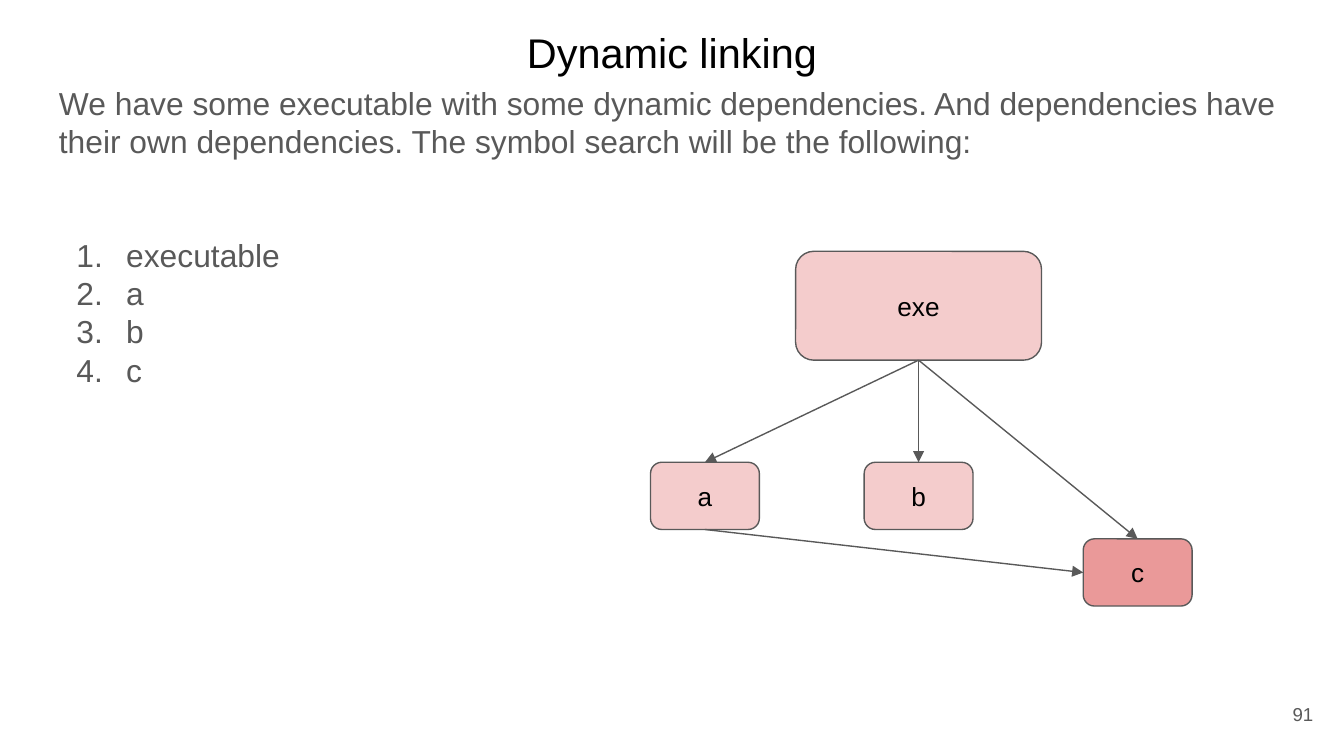
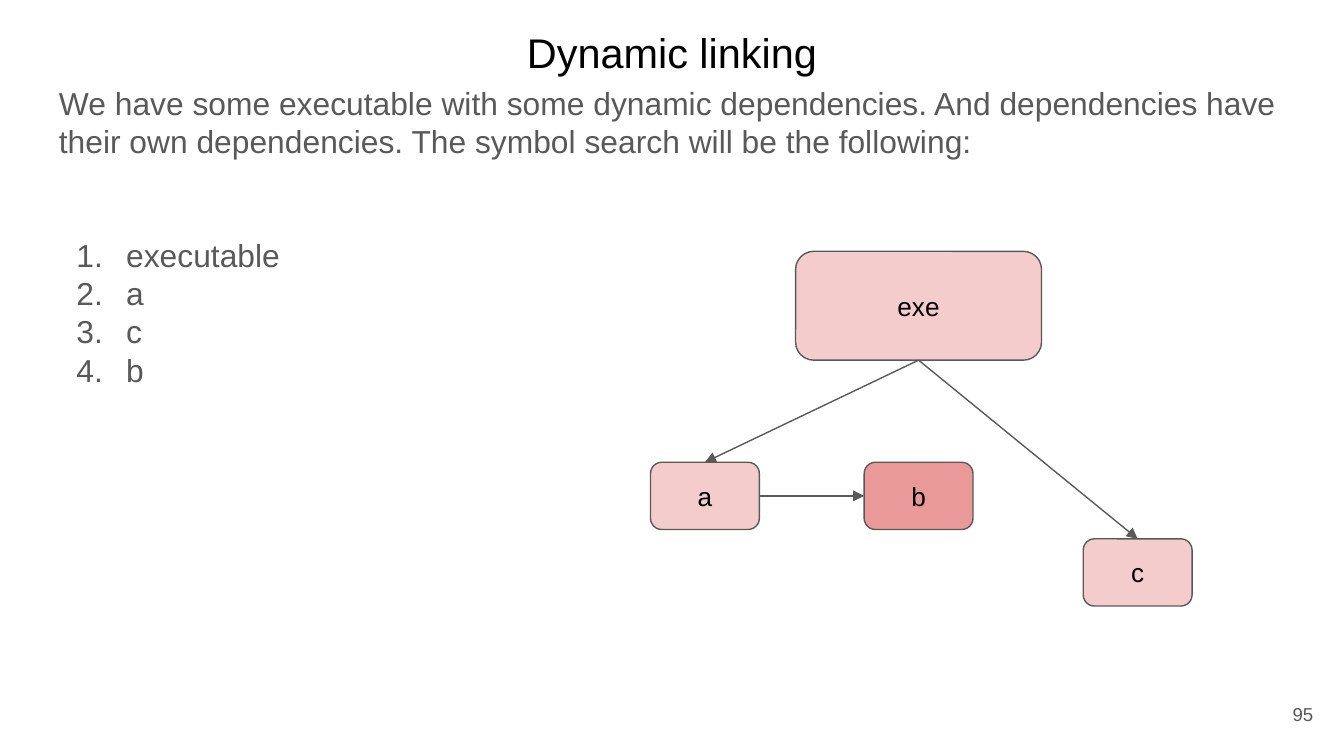
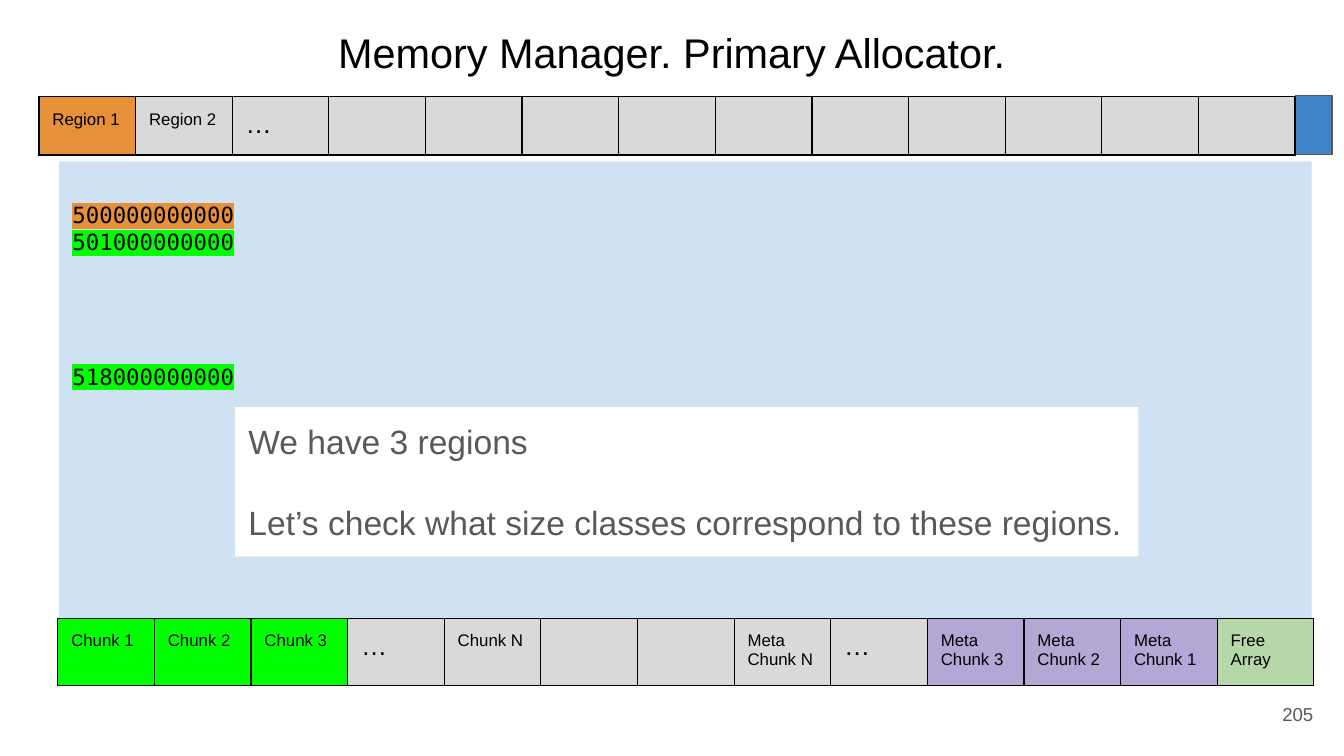
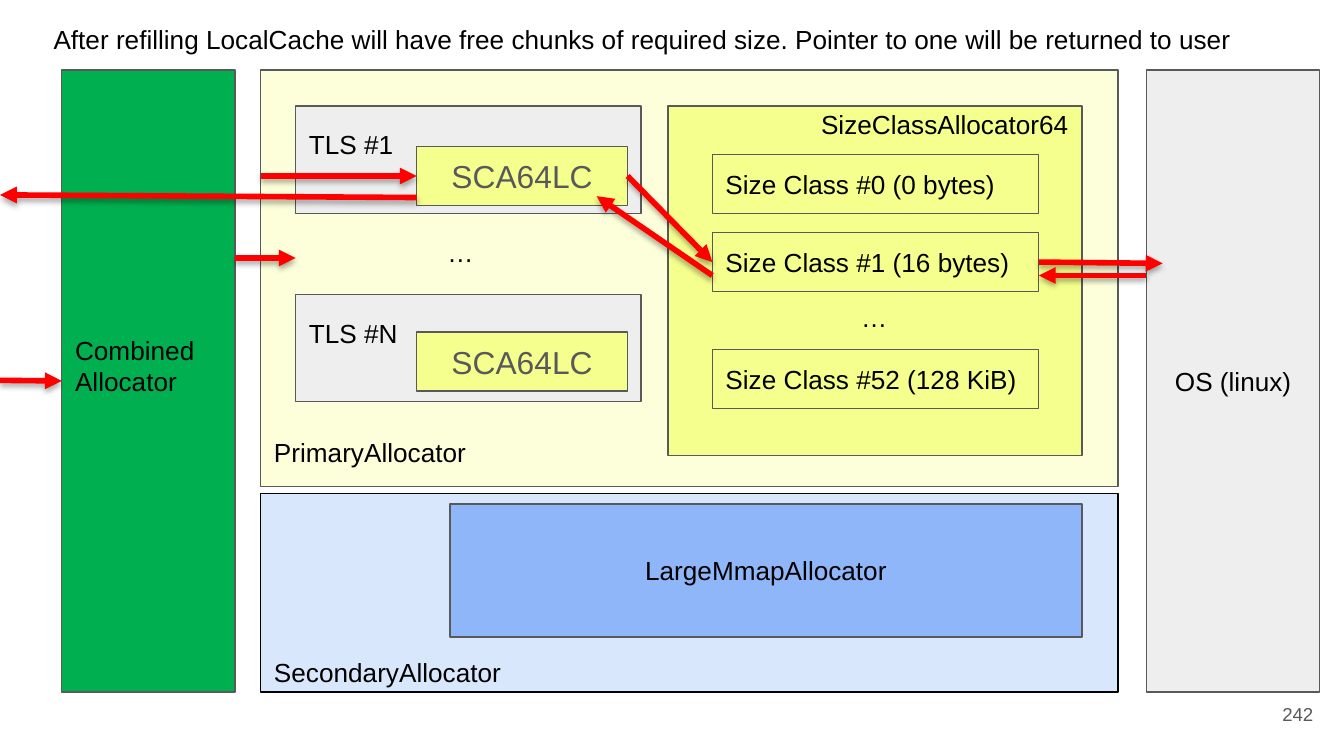
from dataclasses import dataclass

from lxml import etree
from pptx import Presentation
from pptx.dml.color import RGBColor
from pptx.enum.shapes import MSO_CONNECTOR as Connector, MSO_SHAPE as Shape
from pptx.enum.text import MSO_ANCHOR as Anchor, PP_ALIGN as Align
from pptx.oxml.ns import qn
from pptx.util import Inches, Pt

BLACK, GRAY, RED = "000000", "595959", "FF0000"
PINK, ROSE = "F4CCCC", "EA9999"
ORANGE, LIME, SILVER = "E69138", "00FF00", "D9D9D9"
LILAC, SAGE, SKY = "B4A7D6", "B6D7A8", "CFE2F3"
YELLOW, PALE = "F5FF8D", "EEEEEE"
SANS, MONO = "Arial", "DejaVu Sans Mono"
TOP, LEFT, BOTTOM, RIGHT = range(4)
COLUMNS = 13


@dataclass
class Box:
    """A rectangle in inches."""

    left: float
    top: float
    width: float
    height: float

    def inner(self, left, top, width, height):
        """Return a rectangle placed relative to this one."""
        return Box(self.left + left, self.top + top, width, height)

    def lengths(self):
        """Return the four values as lengths."""
        return [Inches(v) for v in (self.left, self.top, self.width, self.height)]


TITLE_BOX = Box(0.34, 0.15, 9.32, 0.52)
NUMBER_BOX = Box(9.27, 5.1, 0.6, 0.43)


def colour(value):
    """Turn a hex string into a colour."""
    return RGBColor.from_string(value)


def add_element(parent, tag, **attributes):
    """Append a drawing element to a parent."""
    return etree.SubElement(parent, qn(tag), attributes)


def add_run(para, text, size, ink=BLACK, font=SANS, highlight=None):
    """Add one formatted run to a paragraph."""
    span = para.add_run()
    span.text = text
    span.font.size = Pt(size)
    span.font.name = font
    span.font.color.rgb = colour(ink)
    if highlight:
        mark = etree.Element(qn("a:highlight"))
        add_element(mark, "a:srgbClr", val=highlight)
        span._r.get_or_add_rPr().find(qn("a:solidFill")).addnext(mark)


def write(frame, lines, size=14, ink=BLACK, align=Align.LEFT):
    """Write one paragraph per line and return the paragraphs."""
    paras = []
    for index, line in enumerate(lines):
        para = frame.add_paragraph() if index else frame.paragraphs[0]
        para.alignment = align
        add_run(para, line, size, ink)
        paras.append(para)
    return paras


def set_frame(shape, anchor, top=0.1, bottom=0.1):
    """Prepare the text frame of a shape."""
    frame = shape.text_frame
    frame.word_wrap = True
    frame.vertical_anchor = anchor
    frame.margin_left = frame.margin_right = Inches(0.1)
    frame.margin_top, frame.margin_bottom = Inches(top), Inches(bottom)
    return frame


def add_text(page, box, lines, size, ink=BLACK, align=Align.LEFT, anchor=Anchor.TOP):
    """Add a text box and return its paragraphs."""
    frame = set_frame(page.shapes.add_textbox(*box.lengths()), anchor)
    return write(frame, lines, size, ink, align)


def add_block(page, box, fill, lines=(), line=GRAY, kind=Shape.RECTANGLE, size=14,
              ink=BLACK, align=Align.LEFT, anchor=Anchor.MIDDLE, top=0.1, bottom=0.1):
    """Add a filled shape with its label."""
    shape = page.shapes.add_shape(kind, *box.lengths())
    shape.shadow.inherit = False
    shape.fill.solid()
    shape.fill.fore_color.rgb = colour(fill)
    if line:
        shape.line.color.rgb = colour(line)
        shape.line.width = Pt(0.75)
    else:
        shape.line.fill.background()
    write(set_frame(shape, anchor, top, bottom), lines, size, ink, align)
    return shape


def add_ellipsis(page, box):
    """Add the dots that stand for omitted items."""
    frame = page.shapes.add_textbox(*box.lengths()).text_frame
    frame.word_wrap = False
    write(frame, ["…"])


def add_arrow(page, start, end, ink=GRAY, width=0.75, shadow=False):
    """Add an arrow between points or (shape, side) pairs."""
    free = [(0, 0) if hasattr(e[0], "shape_id") else e for e in (start, end)]
    arrow = page.shapes.add_connector(
        Connector.STRAIGHT, *[Inches(value) for point in free for value in point])
    if hasattr(start[0], "shape_id"):
        arrow.begin_connect(*start)
    if hasattr(end[0], "shape_id"):
        arrow.end_connect(*end)
    arrow.line.color.rgb = colour(ink)
    arrow.line.width = Pt(width)
    add_element(arrow.line._get_or_add_ln(), "a:tailEnd", type="triangle")
    effects = add_element(arrow._element.spPr, "a:effectLst")
    if shadow:
        cast = add_element(effects, "a:outerShdw", blurRad=str(Pt(3.1)),
                           dist=str(Pt(1.8)), dir="5400000", rotWithShape="0")
        shade = add_element(cast, "a:srgbClr", val=BLACK)
        add_element(shade, "a:alpha", val="35000")


def add_title(page, text):
    """Add the centred slide title."""
    para, = add_text(page, TITLE_BOX, [text], 22.2, align=Align.CENTER, anchor=Anchor.BOTTOM)
    para.line_spacing = 0.8


def add_page(deck, number):
    """Add a blank page with its number."""
    page = deck.slides.add_slide(deck.slide_layouts[6])
    add_text(page, NUMBER_BOX, [str(number)], 10, GRAY, Align.RIGHT, Anchor.MIDDLE)
    return page


def add_search_order(page, box, names):
    """Add the introduction and the numbered search order."""
    intro = ("We have some executable with some dynamic dependencies. And dependencies "
             "have their own dependencies. The symbol search will be the following:")
    items = add_text(page, box, [intro, *names], 17, GRAY)[1:]
    for para in items:
        properties = para._p.get_or_add_pPr()
        properties.set("marL", str(Inches(0.5)))
        properties.set("indent", str(Inches(-0.37)))
        tint = add_element(properties, "a:buClr")
        add_element(tint, "a:srgbClr", val=GRAY)
        add_element(properties, "a:buFont", typeface=SANS)
        add_element(properties, "a:buAutoNum", type="arabicPeriod")
    items[0].space_before = Pt(41)


def add_dependency_graph(page, box, shared, links):
    """Draw the executable, its libraries and the links between them."""
    places = {
        "exe": box.inner(1.08, 0, 1.83, 0.81),
        "a": box.inner(0, 1.57, 0.81, 0.5),
        "b": box.inner(1.59, 1.57, 0.81, 0.5),
        "c": box.inner(3.22, 2.14, 0.81, 0.5),
    }
    nodes = {name: add_block(page, place, ROSE if name == shared else PINK, [name],
                             kind=Shape.ROUNDED_RECTANGLE, align=Align.CENTER)
             for name, place in places.items()}
    for source, out_side, target, in_side in links:
        add_arrow(page, (nodes[source], out_side), (nodes[target], in_side))


def linking_slide(deck, number, names, shared, links):
    """Build a slide on the symbol search order."""
    page = add_page(deck, number)
    add_search_order(page, Box(0.34, 0.52, 9.52, 4.89), names)
    add_title(page, "Dynamic linking")
    add_dependency_graph(page, Box(4.84, 1.87, 4.03, 2.64), shared, links)


def style_cell(cell, text, fill):
    """Give a table cell its borders, fill and text."""
    properties = cell._tc.get_or_add_tcPr()
    for tag in ("a:lnL", "a:lnR", "a:lnT", "a:lnB"):
        edge = add_element(properties, tag, w=str(Pt(0.75)))
        add_element(add_element(edge, "a:solidFill"), "a:srgbClr", val=BLACK)
    cell.fill.solid()
    cell.fill.fore_color.rgb = colour(fill)
    if text:
        cell.margin_left = cell.margin_right = Inches(0.1)
        cell.margin_top = cell.margin_bottom = Inches(0.1)
        write(cell.text_frame, text.split("\n"), 14 if text == "…" else 9)


def add_memory_strip(page, box, labels, fills):
    """Add a one-row table of memory cells."""
    table = page.shapes.add_table(1, COLUMNS, *box.lengths()).table
    table.first_row = table.horz_banding = False
    for index in range(COLUMNS):
        table.columns[index].width = Inches(box.width / COLUMNS)
        style_cell(table.cell(0, index), labels.get(index, ""), fills.get(index, SILVER))


def add_address_panel(page, box):
    """Add the panel of region addresses."""
    panel = add_block(page, box, SKY, line=None, anchor=Anchor.TOP, top=0.3)
    frame = panel.text_frame
    addresses = [("500000000000", ORANGE, 0), ("501000000000", LIME, 0),
                 ("518000000000", LIME, 57.5)]
    for index, (address, mark, gap) in enumerate(addresses):
        para = frame.add_paragraph() if index else frame.paragraphs[0]
        para.alignment = Align.LEFT
        if gap:
            para.space_before = Pt(gap)
        add_run(para, address, 12, font=MONO, highlight=mark)


def memory_slide(deck):
    """Build the slide on regions and chunks."""
    page = add_page(deck, 205)
    add_title(page, "Memory Manager. Primary Allocator.")
    add_address_panel(page, Box(0.44, 1.2, 9.32, 3.79))
    add_block(page, Box(9.64, 0.71, 0.27, 0.44), "3D85C6")
    add_memory_strip(page, Box(0.29, 0.72, 9.35, 0.42),
                     {0: "Region 1", 1: "Region 2", 2: "…"}, {0: ORANGE})
    chunks = {index: f"Chunk {index + 1}" for index in range(3)}
    metas = {index: f"Meta\nChunk {12 - index}" for index in range(9, 12)}
    fills = dict.fromkeys(chunks, LIME) | dict.fromkeys(metas, LILAC) | {12: SAGE}
    others = {3: "…", 4: "Chunk N", 7: "Meta\nChunk N", 8: "…", 12: "Free\nArray"}
    add_memory_strip(page, Box(0.43, 4.6, 9.35, 0.42), chunks | metas | others, fills)
    note = add_block(page, Box(1.75, 3.03, 6.72, 1.11), "FFFFFF",
                     ["We have 3 regions",
                      "Let’s check what size classes correspond to these regions."],
                     line=None, size=18, ink=GRAY, anchor=Anchor.TOP)
    note.text_frame.paragraphs[1].space_before = Pt(21.7)


def add_thread_cache(page, box, label, cache_top):
    """Add a thread storage block and return its local cache."""
    add_block(page, box, PALE, [label], bottom=0.33)
    return add_block(page, box.inner(0.9, cache_top, 1.57, 0.44), YELLOW, ["SCA64LC"],
                     size=17, ink=GRAY, align=Align.CENTER)


def add_size_classes(page, box):
    """Add the size class allocator and return its second class."""
    add_block(page, box, YELLOW, ["SizeClassAllocator64"], align=Align.RIGHT,
              anchor=Anchor.TOP, top=0.02)
    classes = [("#0 (0 bytes)", 0.36), ("#1 (16 bytes)", 0.94), ("#52 (128 KiB)", 1.81)]
    blocks = [add_block(page, box.inner(0.33, top, 2.43, 0.44), YELLOW,
                        [f"Size Class {name}"]) for name, top in classes]
    add_ellipsis(page, box.inner(1.34, 1.4, 0.4, 0.34))
    return blocks[1]


def add_primary(page, box):
    """Add the primary allocator and return its active cache and class."""
    add_block(page, box, "FCFFD9", ["PrimaryAllocator"], anchor=Anchor.BOTTOM, bottom=0.14)
    size_class = add_size_classes(page, box.inner(3.03, 0.27, 3.08, 2.6))
    cache = add_thread_cache(page, box.inner(0.26, 0.27, 2.57, 0.8), "TLS #1", 0.3)
    add_thread_cache(page, box.inner(0.26, 1.67, 2.57, 0.8), "TLS #N", 0.28)
    add_ellipsis(page, box.inner(1.29, 1.19, 0.4, 0.34))
    return cache, size_class


def add_secondary(page, box):
    """Add the secondary allocator."""
    add_block(page, box, "D9E7FD", ["SecondaryAllocator"], line=BLACK,
              anchor=Anchor.BOTTOM, bottom=0.03)
    add_block(page, box.inner(1.41, 0.08, 4.7, 0.99), "8EB6F8", ["LargeMmapAllocator"],
              align=Align.CENTER)


def allocator_slide(deck):
    """Build the slide on the path of an allocation."""
    page = add_page(deck, 242)
    add_text(page, Box(0.3, -0.01, 9.32, 0.52),
             ["After refilling LocalCache will have free chunks of required size. "
              "Pointer to one will be returned to user"], 14, anchor=Anchor.BOTTOM)
    combined = add_block(page, Box(0.46, 0.52, 1.29, 4.63), "00B050",
                         ["Combined", "Allocator"], bottom=0.33)
    cache, size_class = add_primary(page, Box(1.94, 0.52, 6.38, 3.1))
    add_block(page, Box(8.53, 0.52, 1.29, 4.63), PALE, ["OS (linux)"], align=Align.CENTER)
    add_secondary(page, Box(1.94, 3.67, 6.38, 1.48))
    steps = [
        ((0, 2.83), (combined, LEFT)),
        ((1.75, 1.92), (2.2, 1.92)),
        ((1.94, 1.31), (cache, LEFT)),
        ((cache, RIGHT), (size_class, LEFT)),
        ((size_class, RIGHT), (8.65, 1.96)),
        ((8.53, 2.05), (7.73, 2.05)),
        ((5.3, 2.05), (4.44, 1.46)),
        ((3.1, 1.47), (0, 1.45)),
    ]
    for start, end in steps:
        add_arrow(page, start, end, RED, 3, shadow=True)


def main():
    """Build the deck and save it."""
    deck = Presentation()
    deck.slide_width = Inches(10)
    deck.slide_height = deck.slide_width * 9 // 16
    to_a, to_c = ("exe", BOTTOM, "a", TOP), ("exe", BOTTOM, "c", TOP)
    linking_slide(deck, 91, ["executable", "a", "b", "c"], "c",
                  [to_a, ("exe", BOTTOM, "b", TOP), to_c, ("a", BOTTOM, "c", LEFT)])
    linking_slide(deck, 95, ["executable", "a", "c", "b"], "b",
                  [to_a, to_c, ("a", RIGHT, "b", LEFT)])
    memory_slide(deck)
    allocator_slide(deck)
    deck.save("out.pptx")


if __name__ == "__main__":
    main()
